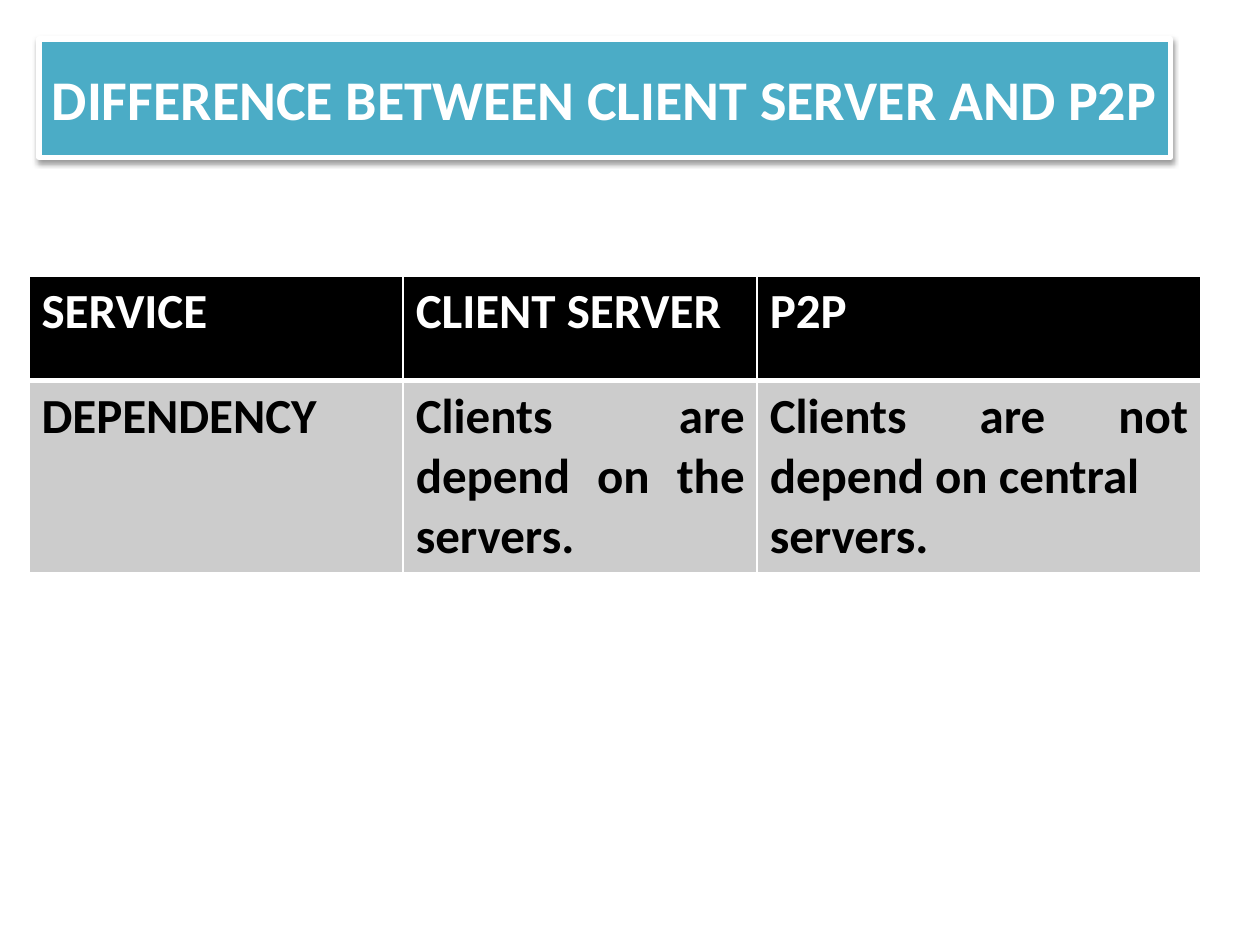
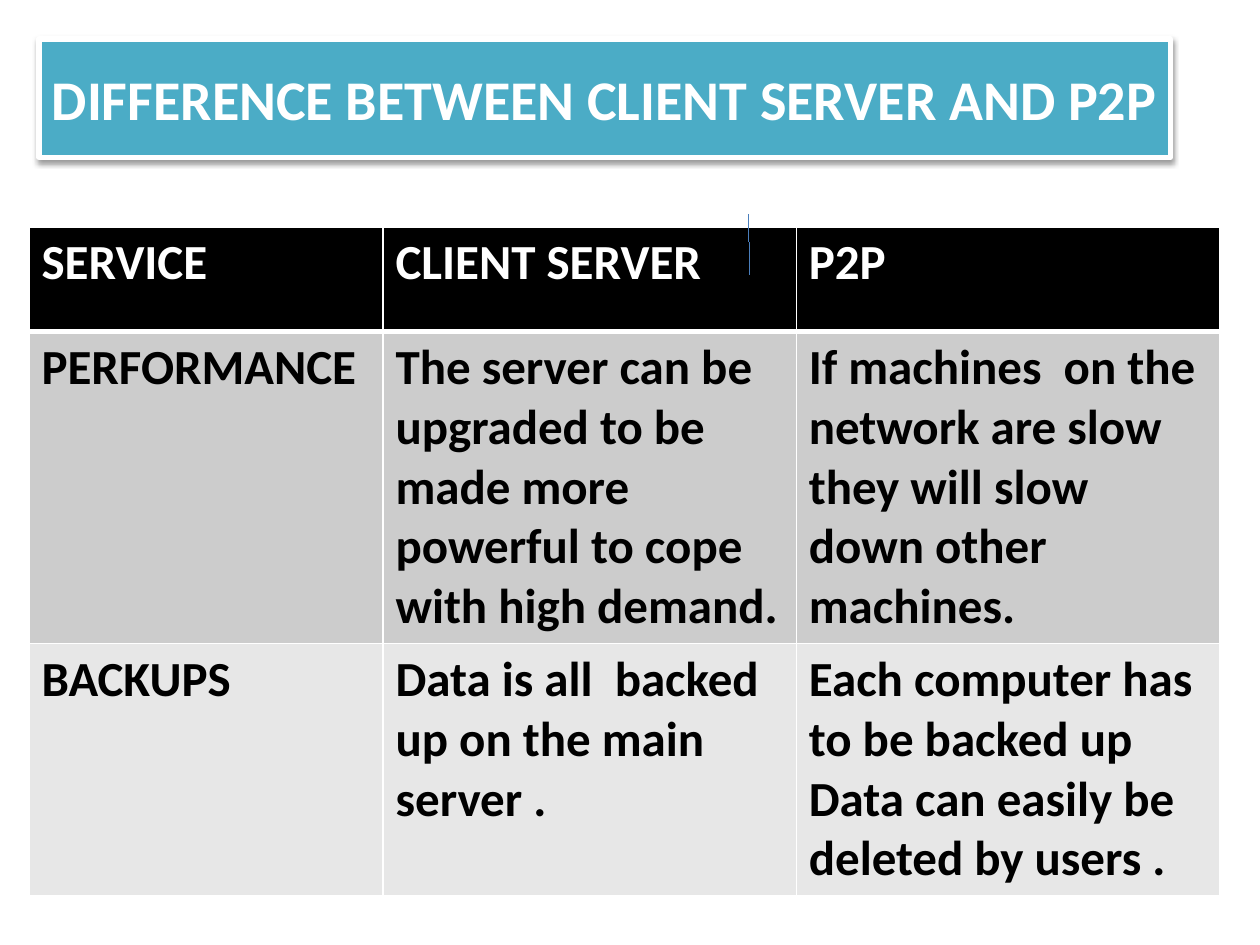
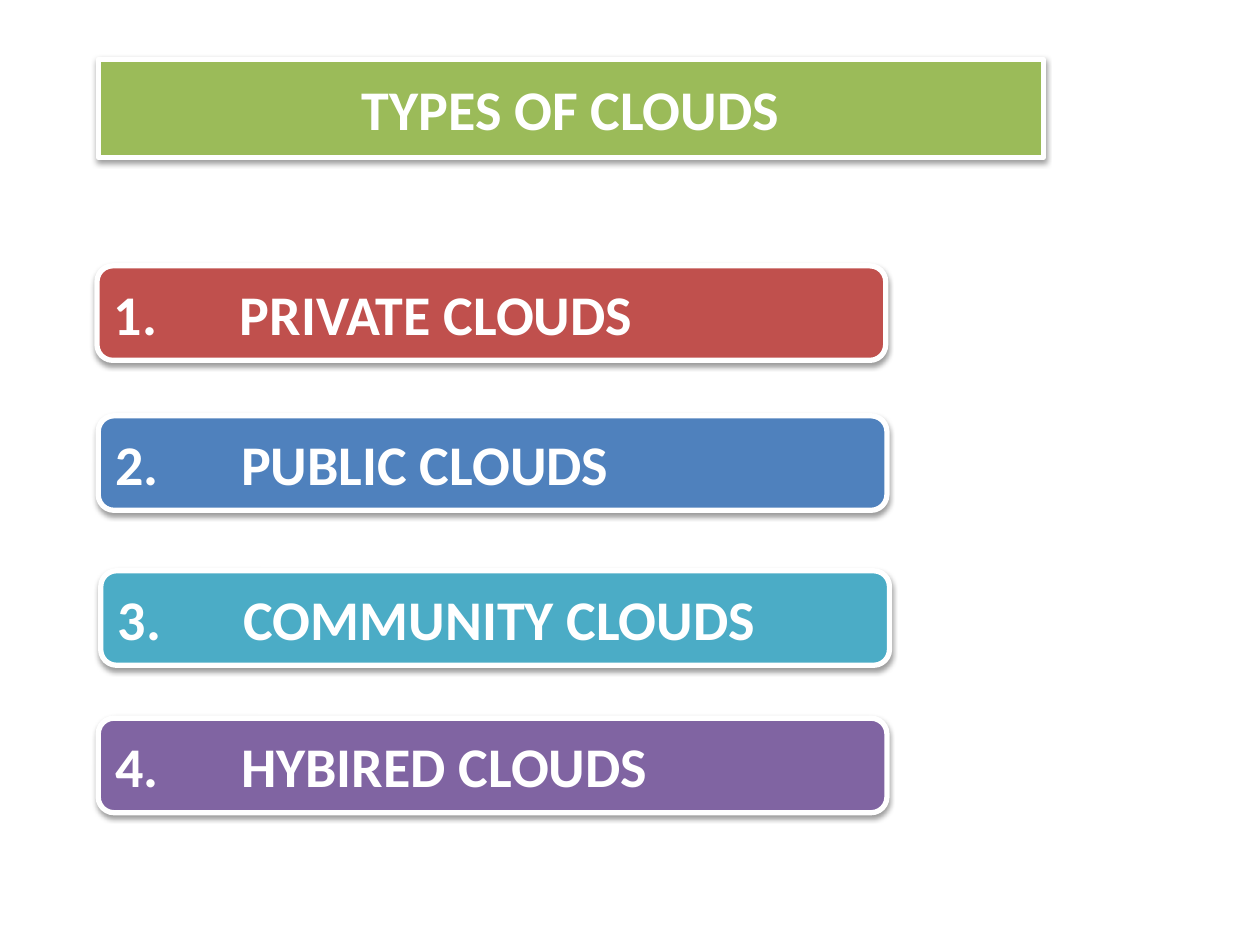
from dataclasses import dataclass
from typing import NamedTuple

from lxml.etree import SubElement
from pptx import Presentation
from pptx.dml.color import RGBColor
from pptx.enum.shapes import MSO_CONNECTOR, MSO_SHAPE
from pptx.enum.text import MSO_ANCHOR, MSO_AUTO_SIZE, PP_ALIGN
from pptx.oxml.ns import qn
from pptx.util import Inches, Pt


@dataclass(frozen=True)
class Theme:
    font: str = "Calibri"
    white: str = "FFFFFF"
    black: str = "000000"
    red: str = "C0504D"
    blue: str = "4F81BD"
    aqua: str = "4BACC6"
    purple: str = "8064A2"
    green: str = "9BBB59"
    hairline: str = "4A7EBB"
    row_fills: tuple = ("CCCCCC", "E7E7E7")
    banner_size: float = 32
    table_size: float = 28
    outline: float = 3
    thin_border: float = 0.96
    hairline_width: float = 0.01


class Box(NamedTuple):
    left: float
    top: float
    width: float
    height: float


THEME = Theme()
TITLE_ONLY = 5
COMPARISON_TITLE = "DIFFERENCE BETWEEN CLIENT SERVER AND P2P"
COMPARISON_BANNER = Box(0.31, 0.31, 8.98, 0.94)
COMPARISON_HEADER = ("SERVICE", "CLIENT SERVER", "P2P")
HEADER_HEIGHT = 0.83
ROW_HEIGHT = 1.14
NUMBER_TAB = 1


def color(value):
    return RGBColor.from_string(value)


def format_text(frame, size, ink, align=PP_ALIGN.LEFT):
    for para in frame.paragraphs:
        para.alignment = align
        for span in para.runs:
            span.font.name = THEME.font
            span.font.size = Pt(size)
            span.font.bold = True
            span.font.color.rgb = color(ink)


def add_soft_shadow(shape):
    shape.shadow.inherit = False
    effects = shape.element.spPr.find(qn("a:effectLst"))
    shadow = SubElement(effects, qn("a:outerShdw"), blurRad=str(Pt(3.1)),
                        dist=str(Pt(1.6)), dir="5400000", rotWithShape="0")
    shade = SubElement(shadow, qn("a:srgbClr"), val=THEME.black)
    SubElement(shade, qn("a:alpha"), val="38000")


def style_banner(shape, text, fill, align):
    """Give a shape the coloured fill, white frame and shadow of all banners."""
    shape.fill.solid()
    shape.fill.fore_color.rgb = color(fill)
    shape.line.color.rgb = color(THEME.white)
    shape.line.width = Pt(THEME.outline)
    add_soft_shadow(shape)
    frame = shape.text_frame
    frame.text = text
    frame.word_wrap = True
    frame.auto_size = MSO_AUTO_SIZE.NONE
    frame.vertical_anchor = MSO_ANCHOR.MIDDLE
    format_text(frame, THEME.banner_size, THEME.white, align)


def add_titled_slide(deck, text, box, fill):
    slide = deck.slides.add_slide(deck.slide_layouts[TITLE_ONLY])
    title = slide.shapes.title
    title.left, title.top, title.width, title.height = map(Inches, box)
    style_banner(title, text, fill, PP_ALIGN.CENTER)
    return slide


def set_borders(cell, top, bottom):
    properties = cell._tc.get_or_add_tcPr()
    widths = {"a:lnL": THEME.thin_border, "a:lnR": THEME.thin_border,
              "a:lnT": top, "a:lnB": bottom}
    for side, width in widths.items():
        line = SubElement(properties, qn(side), w=str(Pt(width)))
        fill = SubElement(line, qn("a:solidFill"))
        SubElement(fill, qn("a:srgbClr"), val=THEME.white)


def style_cell(cell, row, align):
    header = row == 0
    set_borders(cell,
                top=THEME.outline if row == 1 else THEME.thin_border,
                bottom=THEME.outline if header else THEME.thin_border)
    cell.fill.solid()
    cell.fill.fore_color.rgb = color(
        THEME.black if header else THEME.row_fills[(row - 1) % 2])
    format_text(cell.text_frame, THEME.table_size,
                THEME.white if header else THEME.black, align)


def add_comparison_table(slide, left, top, widths, rows, body_align):
    """Add a table whose description columns use body_align below the header."""
    heights = [HEADER_HEIGHT] + [ROW_HEIGHT] * len(rows)
    box = Box(left, top, sum(widths), sum(heights))
    table = slide.shapes.add_table(len(heights), len(widths),
                                   *map(Inches, box)).table
    for column, width in zip(table.columns, widths):
        column.width = Inches(width)
    for table_row, height in zip(table.rows, heights):
        table_row.height = Inches(height)
    for row, texts in enumerate([COMPARISON_HEADER, *rows]):
        for column, text in enumerate(texts):
            cell = table.cell(row, column)
            cell.text_frame.text = text
            described = row > 0 and column > 0
            style_cell(cell, row, body_align if described else PP_ALIGN.LEFT)


def add_hairline(slide, start, end):
    line = slide.shapes.add_connector(MSO_CONNECTOR.STRAIGHT,
                                      *map(Inches, start + end))
    line.line.color.rgb = color(THEME.hairline)
    line.line.width = Pt(THEME.hairline_width)
    SubElement(line.element.spPr, qn("a:effectLst"))


def add_numbered_banner(slide, box, number, text, fill):
    banner = slide.shapes.add_shape(MSO_SHAPE.ROUNDED_RECTANGLE,
                                    *map(Inches, box))
    style_banner(banner, f"{number}.\t{text}", fill, PP_ALIGN.LEFT)
    properties = banner.text_frame.paragraphs[0]._p.get_or_add_pPr()
    tabs = SubElement(properties, qn("a:tabLst"))
    SubElement(tabs, qn("a:tab"), pos=str(Inches(NUMBER_TAB)), algn="l")


def build_dependency_slide(deck):
    slide = add_titled_slide(deck, COMPARISON_TITLE, COMPARISON_BANNER, THEME.aqua)
    rows = [("DEPENDENCY",
             "Clients are depend on the servers.",
             "Clients are not depend on central\nservers.")]
    add_comparison_table(slide, 0.23, 2.19, (2.97, 2.81, 3.52), rows,
                         PP_ALIGN.JUSTIFY)


def build_performance_slide(deck):
    slide = add_titled_slide(deck, COMPARISON_TITLE, COMPARISON_BANNER, THEME.aqua)
    rows = [("PERFORMANCE",
             "The server can be upgraded to be made more powerful to cope "
             "with high demand.",
             "If machines  on the network are slow they will slow down other "
             "machines."),
            ("BACKUPS",
             "Data is all  backed  up on the main server .",
             "Each computer has to be backed up Data can easily be deleted by "
             "users .")]
    add_comparison_table(slide, 0.23, 1.8, (2.81, 3.28, 3.36), rows,
                         PP_ALIGN.LEFT)
    add_hairline(slide, (5.94, 1.7), (5.95, 2.18))


def build_cloud_types_slide(deck):
    slide = add_titled_slide(deck, "TYPES OF CLOUDS", Box(0.78, 0.47, 7.5, 0.78),
                             THEME.green)
    clouds = [(0.77, 2.11, "PRIVATE CLOUDS", THEME.red),
              (0.78, 3.3, "PUBLIC CLOUDS", THEME.blue),
              (0.8, 4.53, "COMMUNITY CLOUDS", THEME.aqua),
              (0.78, 5.7, "HYBIRED CLOUDS", THEME.purple)]
    for number, (left, top, text, fill) in enumerate(clouds, start=1):
        add_numbered_banner(slide, Box(left, top, 6.26, 0.75), number, text, fill)


def main():
    deck = Presentation()
    deck.slide_width, deck.slide_height = Inches(10), Inches(7.5)
    build_dependency_slide(deck)
    build_performance_slide(deck)
    build_cloud_types_slide(deck)
    deck.save("out.pptx")


if __name__ == "__main__":
    main()
